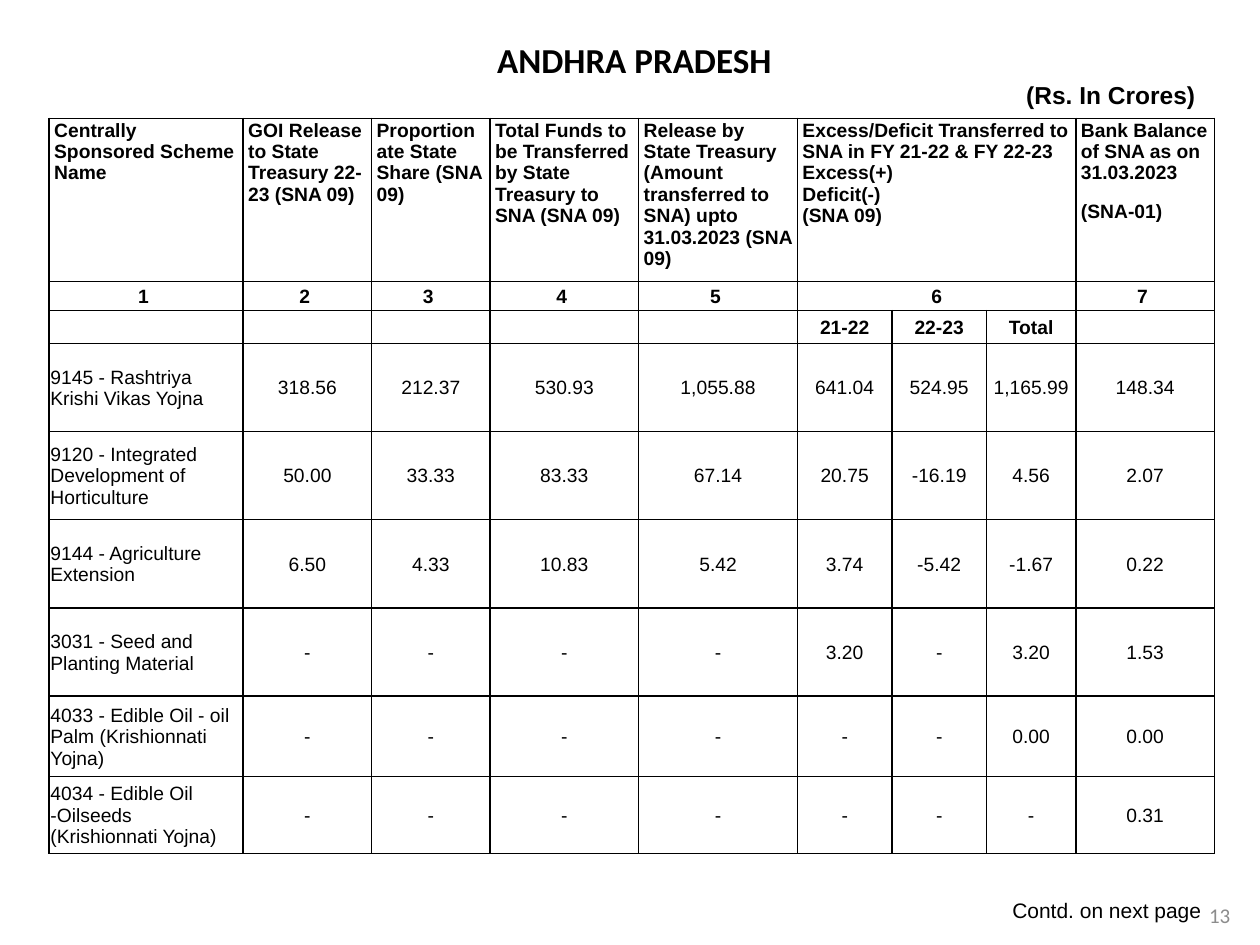
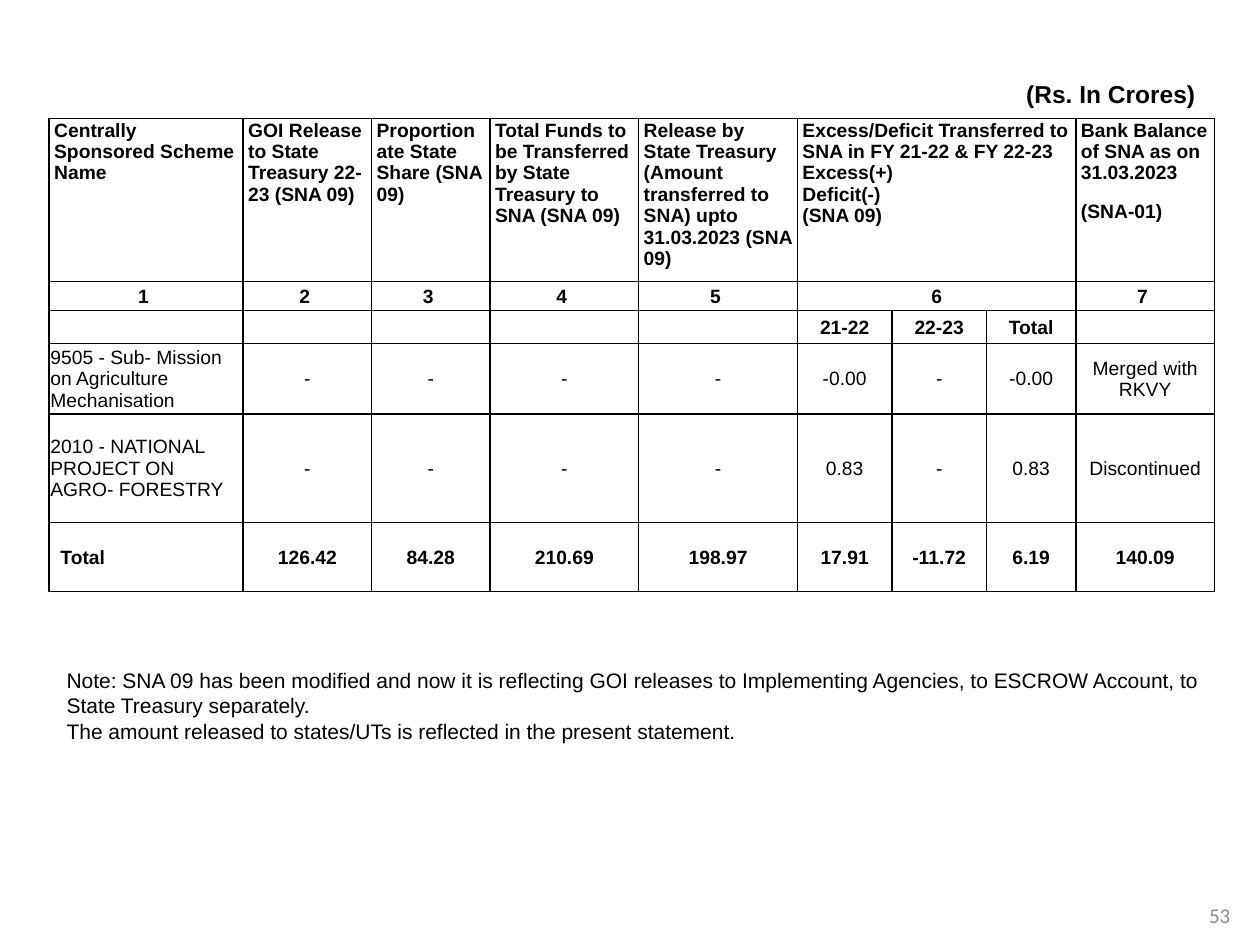
from lxml import etree
from pptx import Presentation
from pptx import util as u
from pptx.dml.color import RGBColor
from pptx.enum import text
from pptx.oxml.ns import qn

COLORS = {"ink": "000000", "page_number": "8C8C8C"}
LEFT, CENTER, RIGHT = text.PP_ALIGN.LEFT, text.PP_ALIGN.CENTER, text.PP_ALIGN.RIGHT
TOP, MIDDLE, BOTTOM = (text.MSO_ANCHOR.TOP, text.MSO_ANCHOR.MIDDLE,
                       text.MSO_ANCHOR.BOTTOM)

COLUMN_WIDTHS = [1.54, 1.02, 0.94, 1.18, 1.26, 0.75, 0.75, 0.71, 1.1]
HEADER_HEIGHTS = [1.16, 0.23, 0.26]
EXCESS_COLUMNS = (5, 7)
HEADINGS = [
    ["Centrally Sponsored Scheme Name"],
    ["GOI Release to State Treasury 22-23 (SNA 09)"],
    ["Proportionate State Share (SNA 09)"],
    ["Total Funds to be Transferred by State Treasury to SNA (SNA 09)"],
    ["Release by State Treasury (Amount transferred to SNA) upto 31.03.2023 (SNA 09)"],
    ["Excess/Deficit Transferred to SNA in FY 21-22 & FY 22-23",
     "Excess(+)", "Deficit(-)", "(SNA 09)"],
    None, None,
    ["Bank Balance of SNA as on 31.03.2023", "(SNA-01)"],
]
COLUMN_NUMBERS = ["1 ", "2 ", "3 ", "4 ", "5 ", "6", None, None, "7 "]
YEARS = ["", "", "", "", "", "21-22", "22-23", "Total", ""]

# Each scheme: row height, then the nine cells
FIRST_SCHEMES = [
    (0.7, ["9145 - Rashtriya Krishi Vikas Yojna", "318.56", "212.37", "530.93",
           "1,055.88", "641.04", "524.95", "1,165.99", "148.34"]),
    (0.7, ["9120 - Integrated Development of Horticulture", "50.00", "33.33", "83.33",
           "67.14", "20.75", "-16.19", "4.56", "2.07"]),
    (0.7, ["9144 - Agriculture Extension", "6.50", "4.33", "10.83",
           "5.42", "3.74", "-5.42", "-1.67", "0.22"]),
    (0.7, ["3031 - Seed and Planting Material", "-", "-", "-",
           "-", "3.20", "-", "3.20", "1.53"]),
    (0.64, ["4033 - Edible Oil - oil Palm (Krishionnati Yojna)", "-", "-", "-",
            "-", "-", "-", "0.00", "0.00"]),
    (0.61, ["4034 - Edible Oil -Oilseeds (Krishionnati Yojna)", "-", "-", "-",
            "-", "-", "-", "-", "0.31"]),
]
LAST_SCHEMES = [
    (0.56, ["9505 - Sub- Mission on Agriculture Mechanisation", "-", "-", "-",
            "-", "-0.00", "-", "-0.00", "Merged with RKVY"]),
    (0.86, ["2010 - NATIONAL PROJECT ON AGRO- FORESTRY", "-", "-", "-",
            "-", "0.83", "-", "0.83", "Discontinued"]),
    (0.55, ["Total", "126.42", "84.28", "210.69",
            "198.97", "17.91", "-11.72", "6.19", "140.09"]),
]


def write(paragraph, words, size, font="Arial", color="ink", bold=False, **layout):
    """Put words in a paragraph; layout holds paragraph attributes."""
    for key, value in layout.items():
        setattr(paragraph, key, value)
    run = paragraph.add_run()
    run.text = words
    for key, value in {"size": u.Pt(size), "name": font, "bold": bold}.items():
        setattr(run.font, key, value)
    run.font.color.rgb = RGBColor.from_string(COLORS[color])


def add_text(slide, box, lines, anchor=TOP, wrap=True):
    """Add a text box; each line is the words and their format."""
    frame = slide.shapes.add_textbox(*map(u.Inches, box)).text_frame
    frame.word_wrap = wrap
    frame.vertical_anchor = anchor
    for i, (words, look) in enumerate(lines):
        paragraph = frame.add_paragraph() if i else frame.paragraphs[0]
        write(paragraph, words, **look)


def add_heading(slide, box, state=None):
    lines = [("(Rs. In Crores) ", dict(size=14, bold=True, alignment=RIGHT))]
    if state:
        lines.insert(0, (state, dict(size=20, font="Calibri", bold=True,
                                     alignment=CENTER)))
    add_text(slide, box, lines, BOTTOM)


def add_page_number(slide, number):
    look = dict(size=12, font="Calibri", color="page_number", alignment=CENTER)
    add_text(slide, (9.48, 7.06, 0.4, 0.4), [(str(number), look)], MIDDLE)


def add_borders(cell):
    properties = cell._tc.get_or_add_tcPr()
    for i, side in enumerate(("lnL", "lnR", "lnT", "lnB")):
        line = etree.Element(qn(f"a:{side}"), w=str(u.Pt(1)))
        fill = etree.SubElement(line, qn("a:solidFill"))
        etree.SubElement(fill, qn("a:srgbClr"), val=COLORS["ink"])
        properties.insert(i, line)


def fill_cell(cell, lines, side=0.01, left=None, anchor=MIDDLE, **look):
    margins = {"margin_left": side if left is None else left,
               "margin_right": side, "margin_top": 0.01, "margin_bottom": 0}
    for key, value in margins.items():
        setattr(cell, key, u.Inches(value))
    cell.vertical_anchor = anchor
    frame = cell.text_frame
    for i, words in enumerate(lines):
        paragraph = frame.add_paragraph() if i else frame.paragraphs[0]
        if words:
            write(paragraph, words, 11, **look)
        else:
            etree.SubElement(paragraph._p, qn("a:endParaRPr"), sz="1100")


def add_scheme_table(slide, left, top, schemes):
    heights = HEADER_HEIGHTS + [height for height, _ in schemes]
    table = slide.shapes.add_table(
        len(heights), len(COLUMN_WIDTHS), u.Inches(left), u.Inches(top),
        u.Inches(sum(COLUMN_WIDTHS)), u.Inches(sum(heights))).table
    table.first_row = table.horz_banding = False
    for column, width in zip(table.columns, COLUMN_WIDTHS):
        column.width = u.Inches(width)
    for row, height in zip(table.rows, heights):
        row.height = u.Inches(height)
    for cell in table.iter_cells():
        cell.fill.background()
        add_borders(cell)
    first, last = EXCESS_COLUMNS
    for r in (0, 1):
        table.cell(r, first).merge(table.cell(r, last))

    for c, (heading, number, year) in enumerate(zip(HEADINGS, COLUMN_NUMBERS, YEARS)):
        if heading:
            after = u.Pt(0 if c == first else 10)
            fill_cell(table.cell(0, c), heading, 0.04, anchor=TOP, bold=True,
                      space_after=after)
            fill_cell(table.cell(1, c), [number], 0.04, anchor=TOP, bold=True,
                      alignment=CENTER, line_spacing=1.15, space_after=u.Pt(10))
        fill_cell(table.cell(2, c), [year], bold=True, alignment=CENTER)
    for r, (_, values) in enumerate(schemes, len(HEADER_HEIGHTS)):
        is_total = values[0] == "Total"
        for c, value in enumerate(values):
            fill_cell(table.cell(r, c), [value], bold=is_total,
                      left=0.09 if is_total and c == 0 else None,
                      alignment=CENTER if c else LEFT)


def add_state_slide(deck, heading_box, schemes, page, state=None):
    slide = deck.slides.add_slide(deck.slide_layouts[6])
    add_heading(slide, heading_box, state)
    add_scheme_table(slide, 0.39, 0.94, schemes)
    add_page_number(slide, page)
    return slide


def main():
    deck = Presentation()
    deck.slide_width, deck.slide_height = u.Inches(10), u.Inches(7.5)

    opening = add_state_slide(deck, (0.43, 0.25, 9.21, 0.67), FIRST_SCHEMES, 13,
                              "ANDHRA PRADESH")
    add_text(opening, (7.93, 7.07, 1.71, 0.3),
             [("Contd. on next page", dict(size=12, alignment=CENTER))],
             MIDDLE, wrap=False)

    closing = add_state_slide(deck, (0.43, 0.34, 9.21, 0.57), LAST_SCHEMES, 53)
    notes = ["Note: SNA 09 has been modified and now it is reflecting GOI releases to "
             "Implementing Agencies, to ESCROW Account, to State Treasury separately.",
             "The amount released to states/UTs is reflected in the present statement."]
    add_text(closing, (0.43, 5.25, 9.22, 0.71),
             [(note, dict(size=12)) for note in notes])

    deck.save("out.pptx")


if __name__ == "__main__":
    main()
